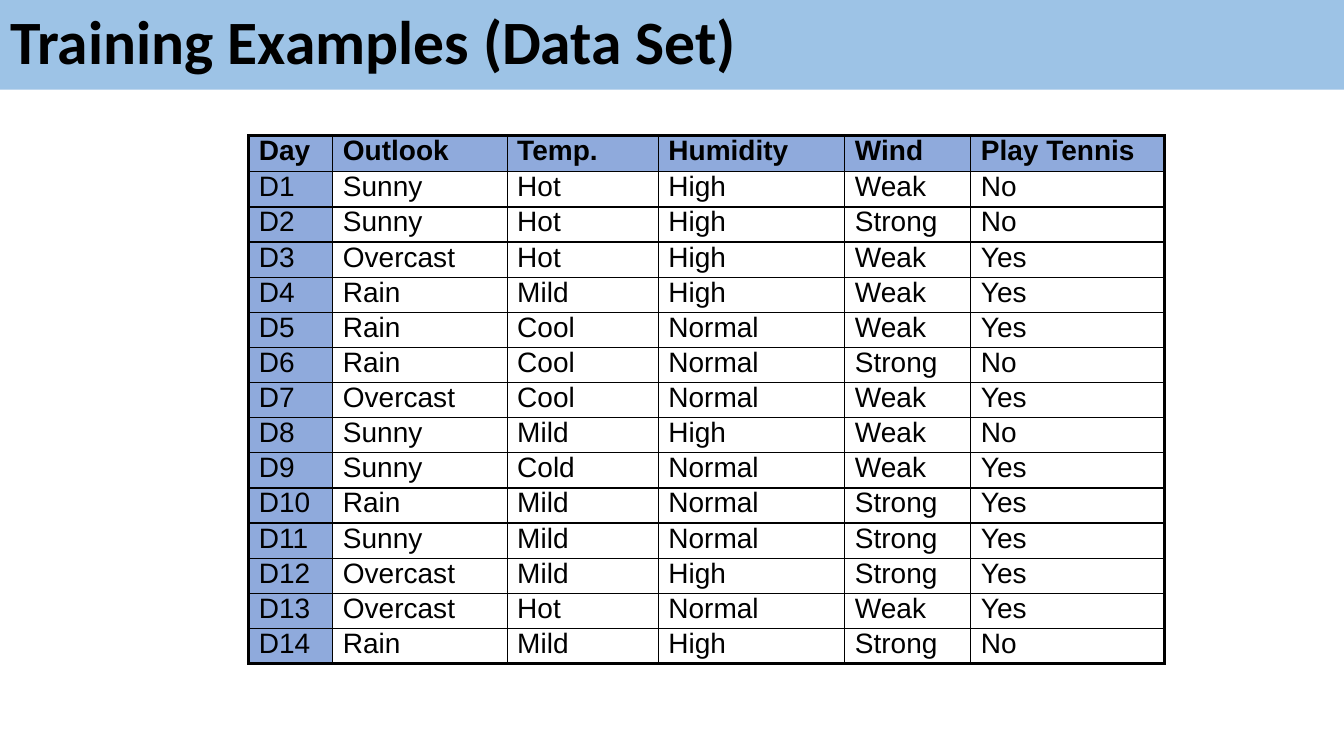
from lxml import etree
from pptx import Presentation
from pptx.dml.color import RGBColor
from pptx.enum import text
from pptx.oxml import ns
from pptx.util import Pt

BLACK, TITLE_BLUE, TABLE_BLUE = "000000", "9DC3E6", "8FAADC"
THIN, THICK = 1, 2.25
COLUMN_WIDTHS = [60, 124.5, 108, 133.25, 90, 138.25]
HEADER_HEIGHT, ROW_HEIGHT = 25.75, 25
HEADERS = ["Day", "Outlook", "Temp.", "Humidity", "Wind", "Play Tennis"]
EXAMPLES = """
Sunny Hot High Weak No
Sunny Hot High Strong No
Overcast Hot High Weak Yes
Rain Mild High Weak Yes
Rain Cool Normal Weak Yes
Rain Cool Normal Strong No
Overcast Cool Normal Weak Yes
Sunny Mild High Weak No
Sunny Cold Normal Weak Yes
Rain Mild Normal Strong Yes
Sunny Mild Normal Strong Yes
Overcast Mild High Strong Yes
Overcast Hot Normal Weak Yes
Rain Mild High Strong No
"""


def rgb(value):
    return RGBColor.from_string(value)


def set_attrs(obj, values):
    for name, value in values.items():
        setattr(obj, name, value)


def write(tf, content, font, size, bold, spacing):
    tf.text = content
    p = tf.paragraphs[0]
    set_attrs(p, {"alignment": text.PP_ALIGN.LEFT, "line_spacing": spacing})
    r = p.runs[0]
    set_attrs(r.font, {"name": font, "size": Pt(size), "bold": bold})
    r.font.color.rgb = rgb(BLACK)


def set_borders(cell, widths):
    tc_pr = cell._tc.get_or_add_tcPr()
    for side, width in widths.items():
        ln = etree.SubElement(tc_pr, ns.qn(f"a:ln{side}"), w=str(Pt(width)))
        fill = etree.SubElement(ln, ns.qn("a:solidFill"))
        etree.SubElement(fill, ns.qn("a:srgbClr"), val=BLACK)


def add_title(s, left, top, width, height):
    sp = s.shapes.title
    set_attrs(sp, {"left": Pt(left), "top": Pt(top),
                   "width": Pt(width), "height": Pt(height)})
    sp.fill.solid()
    sp.fill.fore_color.rgb = rgb(TITLE_BLUE)
    tf = sp.text_frame
    set_attrs(tf, {"word_wrap": True, "auto_size": text.MSO_AUTO_SIZE.NONE,
                   "vertical_anchor": text.MSO_ANCHOR.MIDDLE})
    write(tf, "Training Examples (Data Set)", "Calibri", 44, True, 0.9)


def add_examples(s, left, top):
    days = [[f"D{number}", *line.split()]
            for number, line in enumerate(EXAMPLES.strip().splitlines(), 1)]
    rows = [HEADERS] + days
    heights = [HEADER_HEIGHT] + [ROW_HEIGHT] * len(days)
    last_row, last_col = len(rows) - 1, len(HEADERS) - 1
    table = s.shapes.add_table(
        len(rows), len(HEADERS), Pt(left), Pt(top),
        Pt(sum(COLUMN_WIDTHS)), Pt(sum(heights))).table
    set_attrs(table, {"first_row": False, "horz_banding": False})
    for column, width in zip(table.columns, COLUMN_WIDTHS):
        column.width = Pt(width)
    for i, (values, height) in enumerate(zip(rows, heights)):
        table.rows[i].height = Pt(height)
        for j, value in enumerate(values):
            cell = table.cell(i, j)
            write(cell.text_frame, value, "Arial", 20, i == 0, 0.8)
            set_borders(cell, {"L": THICK if j == 0 else THIN,
                               "R": THICK if j == last_col else THIN,
                               "T": THICK if i == 0 else THIN,
                               "B": THICK if i == last_row else THIN})
            if i == 0 or j == 0:
                cell.fill.solid()
                cell.fill.fore_color.rgb = rgb(TABLE_BLUE)
            else:
                cell.fill.background()


def main():
    prs = Presentation()
    set_attrs(prs, {"slide_width": Pt(960), "slide_height": Pt(540)})
    s = prs.slides.add_slide(prs.slide_layouts[5])
    add_title(s, 0, 0, 960, 64)
    add_examples(s, 177.75, 97)
    prs.save("out.pptx")


if __name__ == "__main__":
    main()
